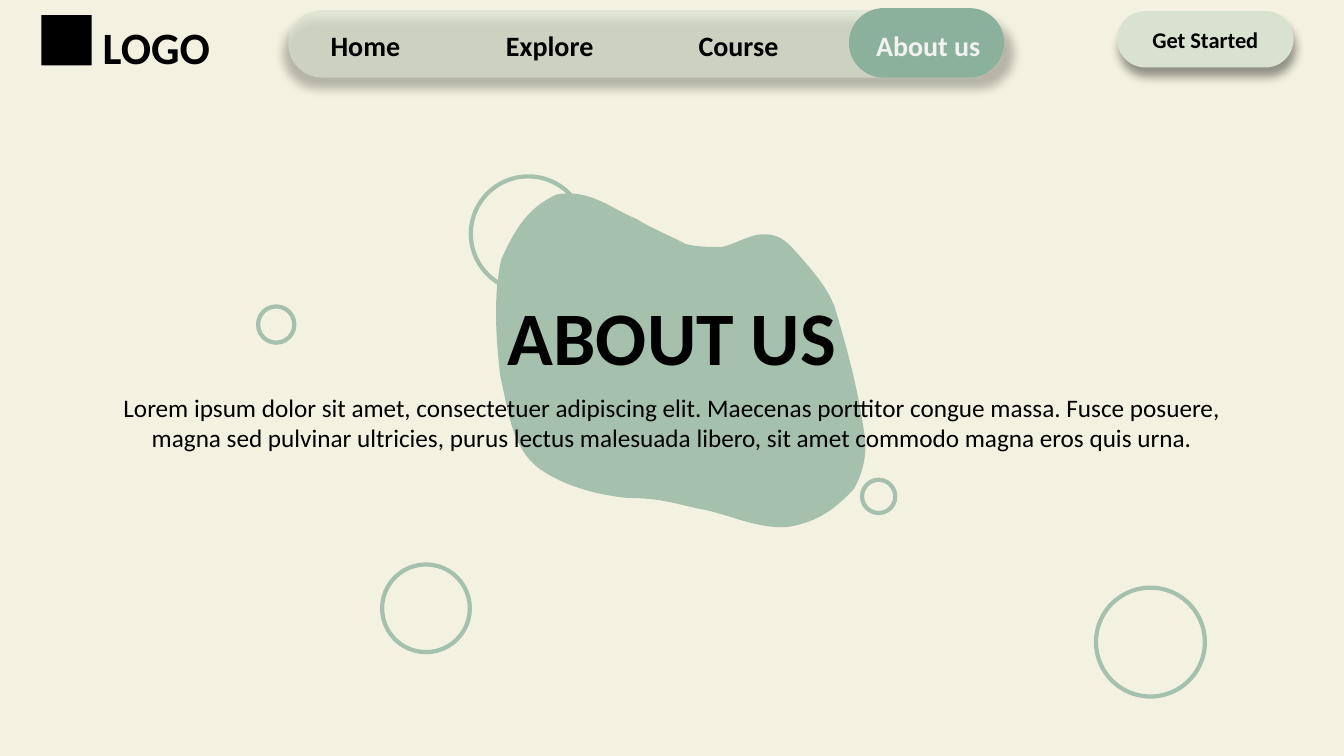
"""Build the "About us" landing slide with its navigation bar."""
from dataclasses import dataclass

from lxml import etree
from pptx import Presentation
from pptx import util as u
from pptx.dml.color import RGBColor
from pptx.enum import shapes, text
from pptx.oxml.ns import qn

PX = 9144
CREAM = RGBColor(0xF3, 0xF2, 0xE0)
SAGE = RGBColor(0xA5, 0xC1, 0xAD)
PALE = RGBColor(0xD9, 0xE2, 0xCF)
GREEN = RGBColor(0x8B, 0xB1, 0x9C)
BLACK = RGBColor(0, 0, 0)
WHITE = RGBColor(0xF2, 0xF2, 0xF2)

RECT = shapes.MSO_SHAPE.RECTANGLE
PILL = shapes.MSO_SHAPE.ROUNDED_RECTANGLE
LEFT, CENTER = text.PP_ALIGN.LEFT, text.PP_ALIGN.CENTER
TOP, MIDDLE = text.MSO_ANCHOR.TOP, text.MSO_ANCHOR.MIDDLE


@dataclass(frozen=True)
class Bubble:
    left: int
    top: int
    size: int


@dataclass(frozen=True)
class Panel:
    kind: int
    left: int
    top: int
    width: int
    height: int
    color: RGBColor
    opacity: int = 100
    shadow_scale: int = 0


@dataclass(frozen=True)
class Label:
    words: str
    left: int
    top: int
    width: int
    height: int
    size: int
    color: RGBColor = BLACK
    bold: bool = True
    align: int = LEFT
    wrap: bool = False


BACK_BUBBLES = [Bubble(256, 304, 36), Bubble(467, 175, 114)]
FRONT_BUBBLES = [Bubble(379, 560, 87), Bubble(855, 476, 33), Bubble(1087, 583, 108)]

BLOB_LEFT, BLOB_TOP, BLOB_WIDTH, BLOB_HEIGHT = 492, 192, 367, 332
BLOB_START = (680, 242)
BLOB_CURVES = [
    ((692, 245), (702, 245), (716, 245)),
    ((729, 242), (740, 235), (751, 233)),
    ((765, 231), (775, 234), (786, 246)),
    ((804, 266), (821, 285), (828, 305)),
    ((841, 348), (851, 387), (857, 428)),
    ((861, 449), (856, 469), (847, 485)),
    ((830, 503), (813, 518), (780, 523)),
    ((750, 524), (727, 512), (700, 506)),
    ((676, 502), (660, 494), (622, 494)),
    ((592, 491), (559, 482), (535, 465)),
    ((507, 444), (504, 406), (496, 372)),
    ((492, 334), (489, 296), (497, 258)),
    ((511, 226), (525, 205), (552, 193)),
    ((585, 187), (606, 207), (631, 217)),
    ((647, 227), (663, 233), BLOB_START),
]

PANELS = [
    Panel(PILL, 286, 10, 710, 67, PALE, opacity=63, shadow_scale=102),
    Panel(RECT, 41, 15, 50, 50, BLACK),
    Panel(PILL, 842, 8, 154, 69, GREEN),
]
BUTTON = Panel(PILL, 1108, 11, 175, 56, PALE, shadow_scale=100)

TITLE = Label("ABOUT US", 492, 283, 349, 101, 54, align=CENTER)
INTRO = Label(
    "Lorem ipsum dolor sit amet, consectetuer adipiscing elit. Maecenas porttitor "
    "congue massa. Fusce posuere, magna sed pulvinar ultricies, purus lectus malesuada "
    "libero, sit amet commodo magna eros quis urna.",
    92, 384, 1149, 71, 18, bold=False, align=CENTER, wrap=True)
MENU = [
    Label("LOGO", 92, 15, 128, 64, 32),
    Label("Home", 318, 23, 90, 44, 20),
    Label("About us", 859, 23, 125, 44, 20, WHITE),
    Label("Course", 683, 23, 100, 44, 20),
    Label("Explore", 492, 23, 108, 44, 20),
]
BUTTON_LABEL = Label("Get Started", 1108, 11, 175, 56, 16, align=CENTER, wrap=True)


def assign(target, values: dict) -> None:
    for name, value in values.items():
        setattr(target, name, value)


def write(box, label: Label, anchor=TOP, fit=text.MSO_AUTO_SIZE.SHAPE_TO_FIT_TEXT) -> None:
    frame = box.text_frame
    assign(frame, {"word_wrap": label.wrap, "auto_size": fit, "vertical_anchor": anchor})
    para = frame.paragraphs[0]
    para.alignment = label.align
    span = para.add_run()
    span.text = label.words
    assign(span.font, {"name": "Calibri", "size": u.Pt(label.size), "bold": label.bold})
    span.font.color.rgb = label.color


def draw_label(page, label: Label) -> None:
    box = page.shapes.add_textbox(
        label.left * PX, label.top * PX, label.width * PX, label.height * PX)
    write(box, label)


def draw_bubble(page, bubble: Bubble) -> None:
    ring = page.shapes.add_shape(
        shapes.MSO_SHAPE.OVAL, bubble.left * PX, bubble.top * PX,
        bubble.size * PX, bubble.size * PX)
    ring.shadow.inherit = False
    ring.fill.background()
    ring.line.color.rgb = SAGE
    ring.line.width = u.Pt(3)


def paint(shape, color: RGBColor) -> None:
    shape.shadow.inherit = False
    shape.fill.solid()
    shape.fill.fore_color.rgb = color
    shape.line.fill.background()


def add_alpha(color_element, percent: int) -> None:
    etree.SubElement(color_element, qn("a:alpha"), val=str(percent * 1000))


def draw_panel(page, panel: Panel):
    shape = page.shapes.add_shape(
        panel.kind, panel.left * PX, panel.top * PX, panel.width * PX, panel.height * PX)
    paint(shape, panel.color)
    properties = shape.element.spPr
    if panel.kind == PILL:
        shape.adjustments[0] = 0.5
    if panel.opacity < 100:
        add_alpha(properties.find(qn("a:solidFill"))[0], panel.opacity)
    if panel.shadow_scale:
        scale = str(panel.shadow_scale * 1000)
        outer = etree.SubElement(
            properties.find(qn("a:effectLst")), qn("a:outerShdw"),
            blurRad=str(u.Pt(7)), dist=str(u.Pt(7)), dir=str(80 * 60000),
            sx=scale, sy=scale, algn="ctr", rotWithShape="0")
        add_alpha(etree.SubElement(outer, qn("a:srgbClr"), val=str(BLACK)), 40)
    return shape


def draw_blob(page) -> None:
    right, bottom = BLOB_LEFT + BLOB_WIDTH, BLOB_TOP + BLOB_HEIGHT
    builder = page.shapes.build_freeform(BLOB_LEFT, BLOB_TOP, scale=PX)
    builder.add_line_segments([(right, BLOB_TOP), (right, bottom), (BLOB_LEFT, bottom)])
    blob = builder.convert_to_shape()
    paint(blob, SAGE)
    outline = next(blob.element.iter(qn("a:path")))
    for child in list(outline):
        outline.remove(child)
    steps = [("a:moveTo", (BLOB_START,))] + [("a:cubicBezTo", curve) for curve in BLOB_CURVES]
    for tag, points in steps:
        step = etree.SubElement(outline, qn(tag))
        for x, y in points:
            etree.SubElement(step, qn("a:pt"), x=str(x - BLOB_LEFT), y=str(y - BLOB_TOP))
    etree.SubElement(outline, qn("a:close"))


def place_title(page, label: Label) -> None:
    title = page.shapes.title
    title.element.getparent().append(title.element)
    assign(title, {"left": label.left * PX, "top": label.top * PX,
                   "width": label.width * PX, "height": label.height * PX})
    write(title, label)


def main() -> None:
    deck = Presentation()
    assign(deck, {"slide_width": 1333 * PX, "slide_height": 750 * PX})
    page = deck.slides.add_slide(deck.slide_layouts.get_by_name("Title Only"))
    page.background.fill.solid()
    page.background.fill.fore_color.rgb = CREAM
    for bubble in BACK_BUBBLES:
        draw_bubble(page, bubble)
    draw_blob(page)
    place_title(page, TITLE)
    draw_label(page, INTRO)
    for bubble in FRONT_BUBBLES:
        draw_bubble(page, bubble)
    for panel in PANELS:
        draw_panel(page, panel)
    for label in MENU:
        draw_label(page, label)
    write(draw_panel(page, BUTTON), BUTTON_LABEL, MIDDLE, text.MSO_AUTO_SIZE.NONE)
    deck.save("out.pptx")


if __name__ == "__main__":
    main()
